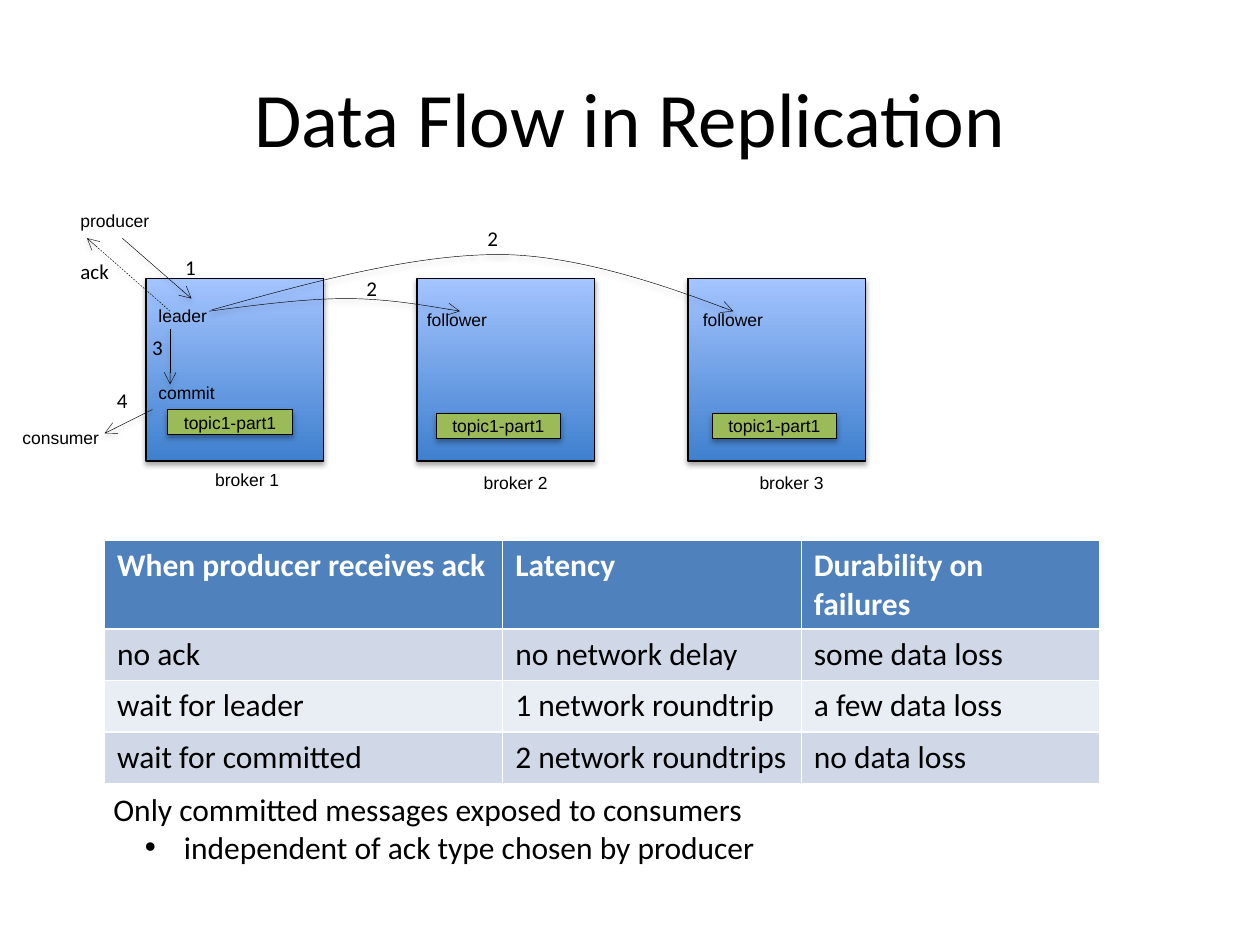
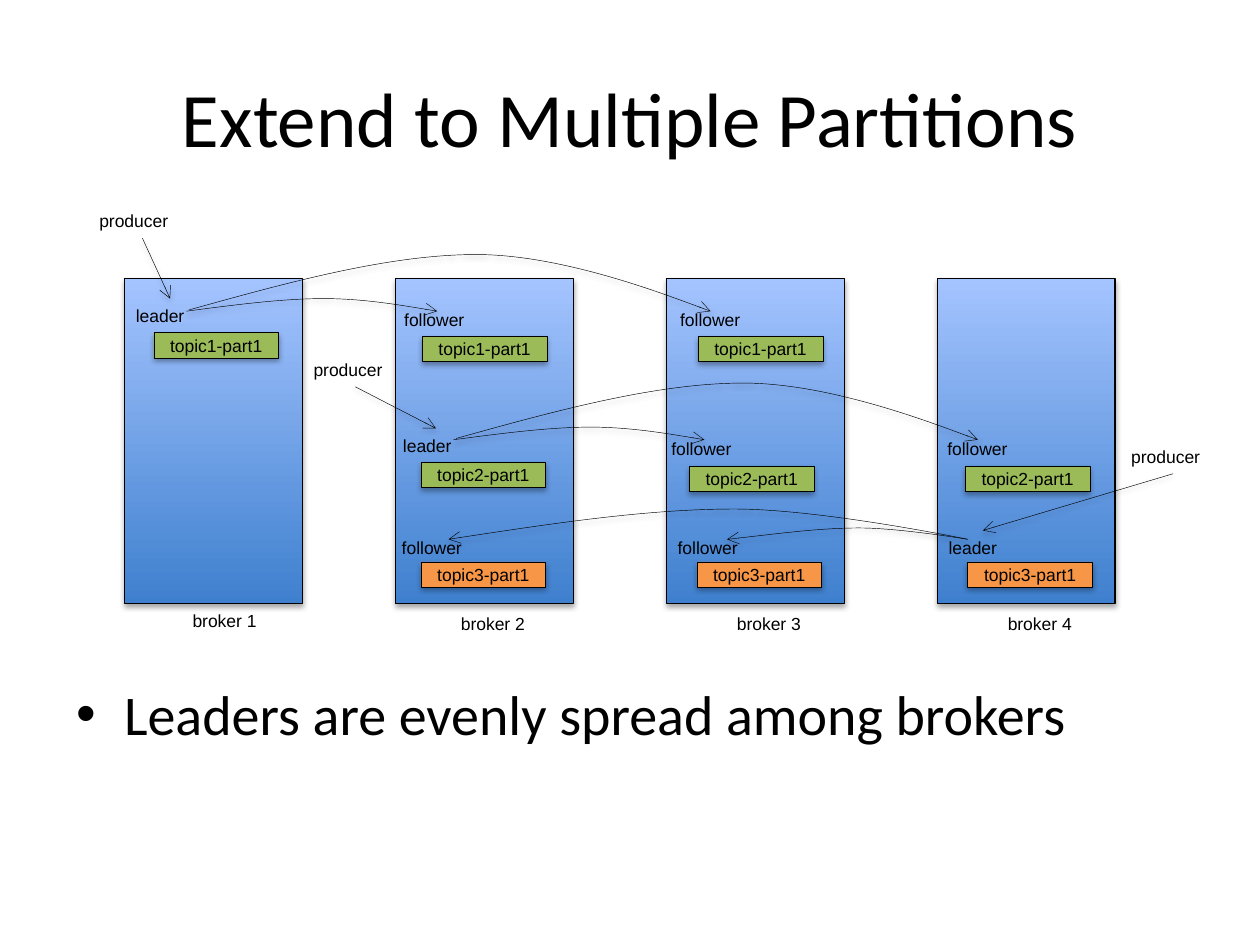
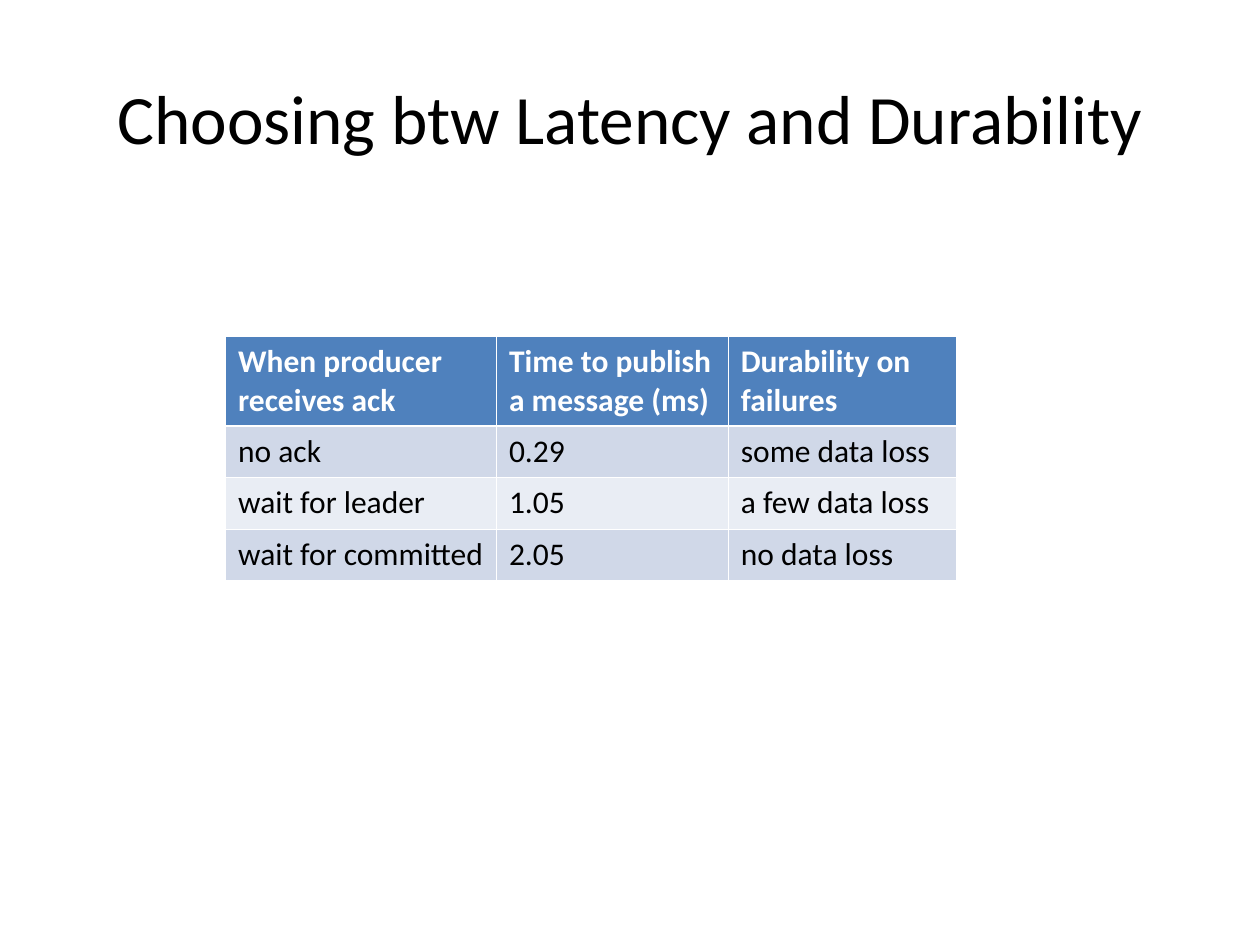
"""Build three slides on message replication: data flow, partitions and the latency trade-off."""
from dataclasses import dataclass
from typing import Any, NamedTuple

from lxml import etree
from pptx import Presentation
from pptx import util as u
from pptx.dml.color import RGBColor
from pptx.enum import dml, shapes, text
from pptx.oxml.ns import qn

PX = 9144
COLORS = {
    "ink": "000000", "white": "FFFFFF", "broker_bottom": "3F80CE", "broker_top": "A4C4FF",
    "green": "9BBB59", "orange": "F79646", "header": "4F81BD", "band": "D0D8E8", "plain": "E9EDF4",
}
TITLE_FONT = {"name": "Calibri", "size": u.Pt(44)}
LONG_TITLE_FONT = {"name": "Calibri", "size": u.Pt(39.6)}
LIST_FONT = {"name": "Calibri", "size": u.Pt(32)}
NOTE_FONT = {"name": "Calibri", "size": u.Pt(18)}
HEADER_FONT = {"name": "Calibri", "size": u.Pt(18), "bold": True}
CELL_FONT = {"name": "Calibri", "size": u.Pt(18), "bold": False}
NAME_FONT = {"name": "Arial", "size": u.Pt(10)}
STEP_FONT = {"name": "Calibri", "size": u.Pt(12)}
LABEL_FRAME = {"word_wrap": True, "auto_size": text.MSO_AUTO_SIZE.SHAPE_TO_FIT_TEXT}
TITLE_FRAME = {"auto_size": text.MSO_AUTO_SIZE.NONE, "vertical_anchor": text.MSO_ANCHOR.MIDDLE}

BROKER_TOP, BROKER_WIDTH, BROKER_STEP = 221, 141, 215
COLUMN_SHIFTS = ((0, 0), (213, 3), (432, 3), (647, 3))
ROW_HEIGHT = 41

Point = tuple[int, int]
Curve = tuple[Point, ...]
NEAR_RIGHT: Curve = ((38, -5), (76, -10), (109, -10), (142, -10), (199, 0), (199, 0))
FAR_RIGHT: Curve = ((79, -22), (159, -44), (228, -44), (297, -44), (414, 1), (414, 1))
NEAR_LEFT: Curve = ((0, 0), (-54, -9), (-86, -9), (-117, -9), (-154, -4), (-191, 0))
FAR_LEFT: Curve = ((0, 0), (-116, -24), (-185, -24), (-254, -24), (-333, -12), (-412, 0))


class Box(NamedTuple):
    left: int
    top: int
    width: int
    height: int


class Label(NamedTuple):
    words: str
    box: Box
    font: dict[str, Any] = NAME_FONT


class Arrow(NamedTuple):
    start: Point
    end: Point
    dashed: bool = False


@dataclass(frozen=True)
class Partition:
    topic: str
    leader: Point
    chip_shift: Point = (24, 27)
    color: str = "green"
    followers: tuple[Point, ...] = COLUMN_SHIFTS[1:3]
    fetch_starts: tuple[Point, Point] = ((50, 10), (52, 9))
    fetches: tuple[Curve, Curve] = (NEAR_RIGHT, FAR_RIGHT)


@dataclass(frozen=True)
class Cluster:
    left: int
    height: int
    brokers: int
    first_name: Point


def rgb(name: str) -> RGBColor:
    return RGBColor.from_string(COLORS[name])


def emu(lengths: tuple[int, ...]) -> list[int]:
    return [length * PX for length in lengths]


def apply(target: Any, values: dict[str, Any]) -> None:
    for attribute, value in values.items():
        setattr(target, attribute, value)


def write(paragraph: Any, words: str, font: dict[str, Any], color: str = "ink") -> None:
    run = paragraph.add_run()
    run.text = words
    apply(run.font, font)
    run.font.color.rgb = rgb(color)


def place(part: Any, box: Box) -> None:
    apply(part, dict(zip(box._fields, emu(box))))


def outline(part: Any, points: float) -> None:
    part.line.color.rgb = rgb("ink")
    part.line.width = u.Pt(points)


def cast_shadow(part: Any, opacity: int, distance: int) -> None:
    effects = etree.SubElement(part._element.spPr, qn("a:effectLst"))
    shadow = etree.SubElement(effects, qn("a:outerShdw"), blurRad="40000", dist=str(distance),
                              dir="5400000", rotWithShape="0")
    tint = etree.SubElement(shadow, qn("a:srgbClr"), val=COLORS["ink"])
    etree.SubElement(tint, qn("a:alpha"), val=str(opacity * 1000))


def finish_arrow(part: Any) -> None:
    outline(part, 0.25)
    etree.SubElement(part._element.spPr.find(qn("a:ln")), qn("a:tailEnd"), type="arrow")
    cast_shadow(part, 38, 20000)


def start_slide(deck: Any, layout: int, title: str, font: dict[str, Any] = TITLE_FONT) -> Any:
    slide = deck.slides.add_slide(deck.slide_layouts[layout])
    heading = slide.shapes.title
    place(heading, Box(50, 30, 900, 125))
    apply(heading.text_frame, TITLE_FRAME)
    heading.text_frame.paragraphs[0].alignment = text.PP_ALIGN.CENTER
    write(heading.text_frame.paragraphs[0], title, font)
    return slide


def draw_label(slide: Any, label: Label) -> None:
    frame = slide.shapes.add_textbox(*emu(label.box)).text_frame
    apply(frame, LABEL_FRAME)
    write(frame.paragraphs[0], label.words, label.font)


def draw_arrow(slide: Any, arrow: Arrow) -> None:
    link = slide.shapes.add_connector(shapes.MSO_CONNECTOR.STRAIGHT, *emu(arrow.start + arrow.end))
    if arrow.dashed:
        link.line.dash_style = dml.MSO_LINE.DASH
    finish_arrow(link)


def draw_curve(slide: Any, start: Point, curve: Curve) -> None:
    x, y = start
    builder = slide.shapes.build_freeform(x, y, scale=PX)
    builder.add_line_segments([(x + dx, y + dy) for dx, dy in curve], close=False)
    fetch = builder.convert_to_shape()
    segments = fetch._element.xpath(".//a:lnTo")
    track = segments[0].getparent()
    for first in range(0, len(segments), 3):
        bend = etree.SubElement(track, qn("a:cubicBezTo"))
        for segment in segments[first:first + 3]:
            bend.append(segment[0])
            track.remove(segment)
    fetch.fill.background()
    finish_arrow(fetch)


def draw_block(slide: Any, box: Box, line_points: float) -> Any:
    block = slide.shapes.add_shape(shapes.MSO_SHAPE.RECTANGLE, *emu(box))
    outline(block, line_points)
    return block


def draw_cluster(slide: Any, cluster: Cluster) -> None:
    for index in range(cluster.brokers):
        left = cluster.left + index * BROKER_STEP
        broker = draw_block(slide, Box(left, BROKER_TOP, BROKER_WIDTH, cluster.height), 0.75)
        broker.fill.gradient()
        broker.fill.gradient_angle = 90
        for stop, color in zip(broker.fill.gradient_stops, ("broker_bottom", "broker_top")):
            stop.color.rgb = rgb(color)
        cast_shadow(broker, 35, 23000)
    x, y = cluster.first_name
    for number, (dx, dy) in enumerate(COLUMN_SHIFTS[:cluster.brokers], 1):
        draw_label(slide, Label(f"broker {number}", Box(x + dx, y + dy, 84, 27)))


def draw_partition(slide: Any, partition: Partition) -> None:
    x, y = partition.leader
    chip_dx, chip_dy = partition.chip_shift
    for index, (dx, dy) in enumerate(((0, 0), *partition.followers)):
        role = "follower" if index else "leader"
        draw_label(slide, Label(role, Box(x + dx, y + dy, 73, 27)))
        chip = draw_block(slide, Box(x + dx + chip_dx, y + dy + chip_dy, 99, 20), 0.25)
        chip.fill.solid()
        chip.fill.fore_color.rgb = rgb(partition.color)
        cast_shadow(chip, 35, 23000)
        chip.text_frame.vertical_anchor = text.MSO_ANCHOR.MIDDLE
        chip.text_frame.paragraphs[0].alignment = text.PP_ALIGN.CENTER
        write(chip.text_frame.paragraphs[0], partition.topic, NAME_FONT)
    for (dx, dy), curve in zip(partition.fetch_starts, partition.fetches):
        draw_curve(slide, (x + dx, y + dy), curve)


def draw_table(slide: Any, corner: Point, widths: tuple[int, ...], rows: tuple[tuple[str, ...], ...]) -> None:
    box = Box(*corner, sum(widths), ROW_HEIGHT * len(rows))
    table = slide.shapes.add_table(len(rows), len(widths), *emu(box)).table
    for column, width in zip(table.columns, widths):
        column.width = width * PX
    for row_index, row in enumerate(rows):
        font, ink = (CELL_FONT, "ink") if row_index else (HEADER_FONT, "white")
        fill = ("band" if row_index % 2 else "plain") if row_index else "header"
        for column_index, words in enumerate(row):
            cell = table.cell(row_index, column_index)
            cell.fill.solid()
            cell.fill.fore_color.rgb = rgb(fill)
            write(cell.text_frame.paragraphs[0], words, font, ink)


def indent(paragraph: Any, margin: int, hang: int, bullet: str = "") -> None:
    properties = paragraph._p.get_or_add_pPr()
    properties.set("marL", str(margin * PX))
    properties.set("indent", str(-hang * PX))
    if bullet:
        etree.SubElement(properties, qn("a:buFont"), typeface="Arial")
        etree.SubElement(properties, qn("a:buChar"), char=bullet)
    else:
        etree.SubElement(properties, qn("a:buNone"))


def draw_data_flow(deck: Any) -> None:
    slide = start_slide(deck, 1, "Data Flow in Replication")
    draw_cluster(slide, Cluster(116, 145, 3, (161, 367)))
    draw_partition(slide, Partition("topic1-part1", (116, 237), (17, 88)))
    for arrow in (
        Arrow((97, 189), (152, 237)),
        Arrow((135, 261), (135, 305)),
        Arrow((135, 247), (69, 189), dashed=True),
        Arrow((121, 325), (83, 344)),
    ):
        draw_arrow(slide, arrow)
    for label in (
        Label("producer", Box(54, 162, 86, 27)),
        Label("commit", Box(116, 298, 67, 27)),
        Label("consumer", Box(8, 334, 86, 27)),
        Label("ack", Box(54, 200, 47, 30), STEP_FONT),
    ):
        draw_label(slide, label)
    for step, left, top in (("1", 137, 197), ("2", 377, 174), ("2", 281, 214), ("3", 111, 261), ("4", 83, 303)):
        draw_label(slide, Label(step, Box(left, top, 29, 30), STEP_FONT))
    draw_table(slide, (83, 429), (316, 237, 237), (
        ("When producer receives ack", "Latency", "Durability on failures"),
        ("no ack", "no network delay", "some data loss"),
        ("wait for leader", "1 network roundtrip", "a few data loss"),
        ("wait for committed", "2 network roundtrips", "no data loss"),
    ))
    note = slide.placeholders[1]
    place(note, Box(80, 622, 542, 71))
    note.text_frame.auto_size = text.MSO_AUTO_SIZE.NONE
    rule, detail = note.text_frame.paragraphs[0], note.text_frame.add_paragraph()
    detail.level = 1
    for paragraph in (rule, detail):
        paragraph.space_before = u.Pt(0)
    write(rule, "Only committed messages exposed to consumers", NOTE_FONT)
    write(detail, "independent of ack type chosen by producer", NOTE_FONT)
    indent(rule, 0, 0)
    indent(detail, 56, 31, "•")


def draw_partitions(deck: Any) -> None:
    slide = start_slide(deck, 1, "Extend to Multiple Partitions")
    spread = slide.placeholders[1]
    place(spread, Box(51, 534, 900, 164))
    write(spread.text_frame.paragraphs[0], "Leaders are evenly spread among brokers", LIST_FONT)
    draw_cluster(slide, Cluster(99, 258, 4, (143, 479)))
    for partition in (
        Partition("topic1-part1", (98, 237)),
        Partition("topic2-part1", (310, 340), fetch_starts=((50, 9), (52, 8))),
        Partition("topic3-part1", (743, 421), (25, 25), "orange", ((-215, 0), (-434, 0)),
                  ((25, 7), (25, 7)), (NEAR_LEFT, FAR_LEFT)),
    ):
        draw_partition(slide, partition)
    for left, top, arrow in (
        (69, 162, Arrow((113, 189), (135, 237))),
        (239, 280, Arrow((282, 307), (346, 340))),
        (888, 349, Arrow((931, 376), (780, 421))),
    ):
        draw_label(slide, Label("producer", Box(left, top, 86, 27)))
        draw_arrow(slide, arrow)


def draw_trade_off(deck: Any) -> None:
    slide = start_slide(deck, 5, "Choosing btw Latency and Durability", LONG_TITLE_FONT)
    draw_table(slide, (179, 267), (215, 184, 181), (
        ("When producer receives ack", "Time to publish a message (ms)", "Durability on failures"),
        ("no ack", "0.29", "some data loss"),
        ("wait for leader", "1.05", "a few data loss"),
        ("wait for committed", "2.05", "no data loss"),
    ))


def main() -> None:
    deck = Presentation()
    apply(deck, {"slide_width": 1000 * PX, "slide_height": 750 * PX})
    for draw in (draw_data_flow, draw_partitions, draw_trade_off):
        draw(deck)
    deck.save("out.pptx")


if __name__ == "__main__":
    main()
